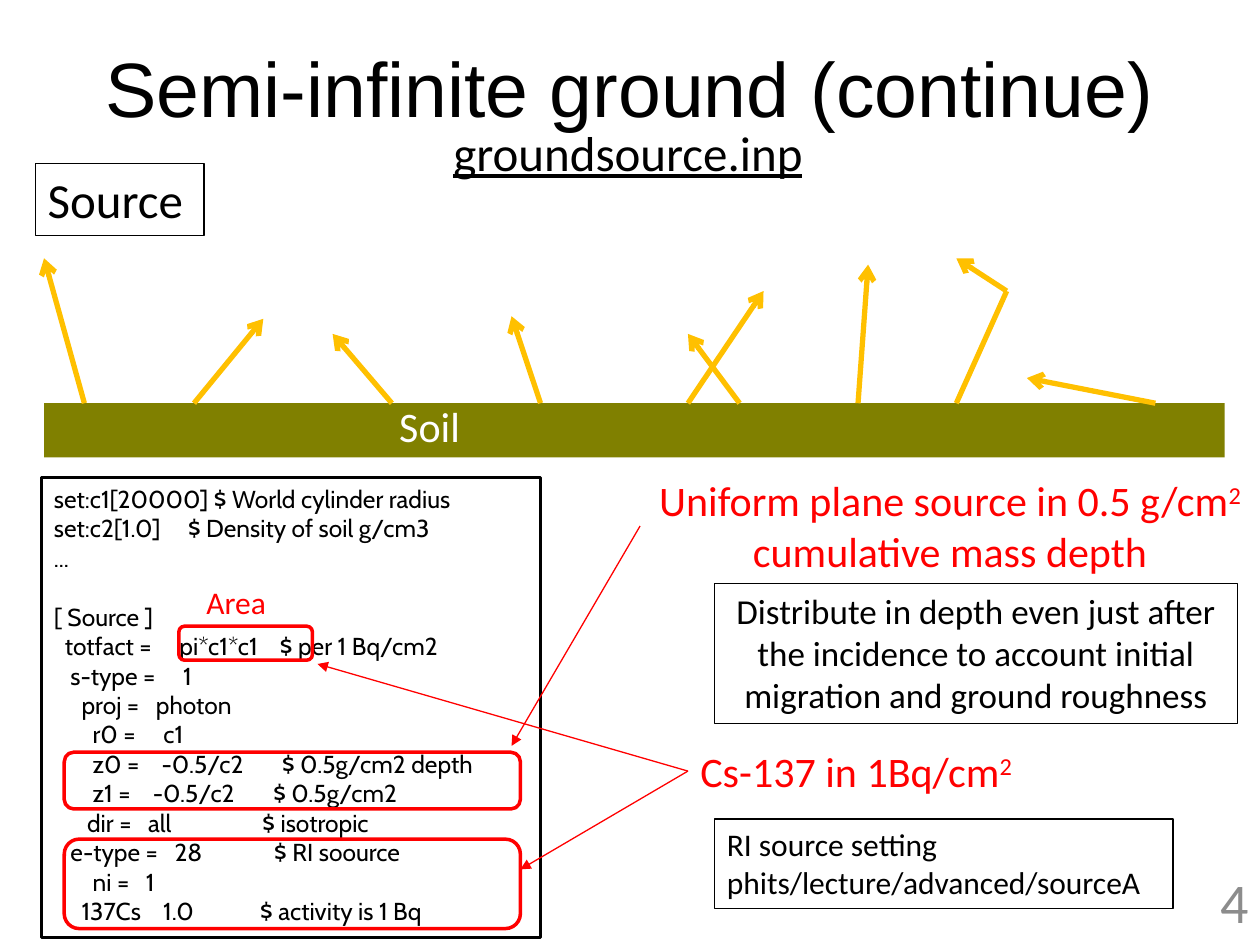
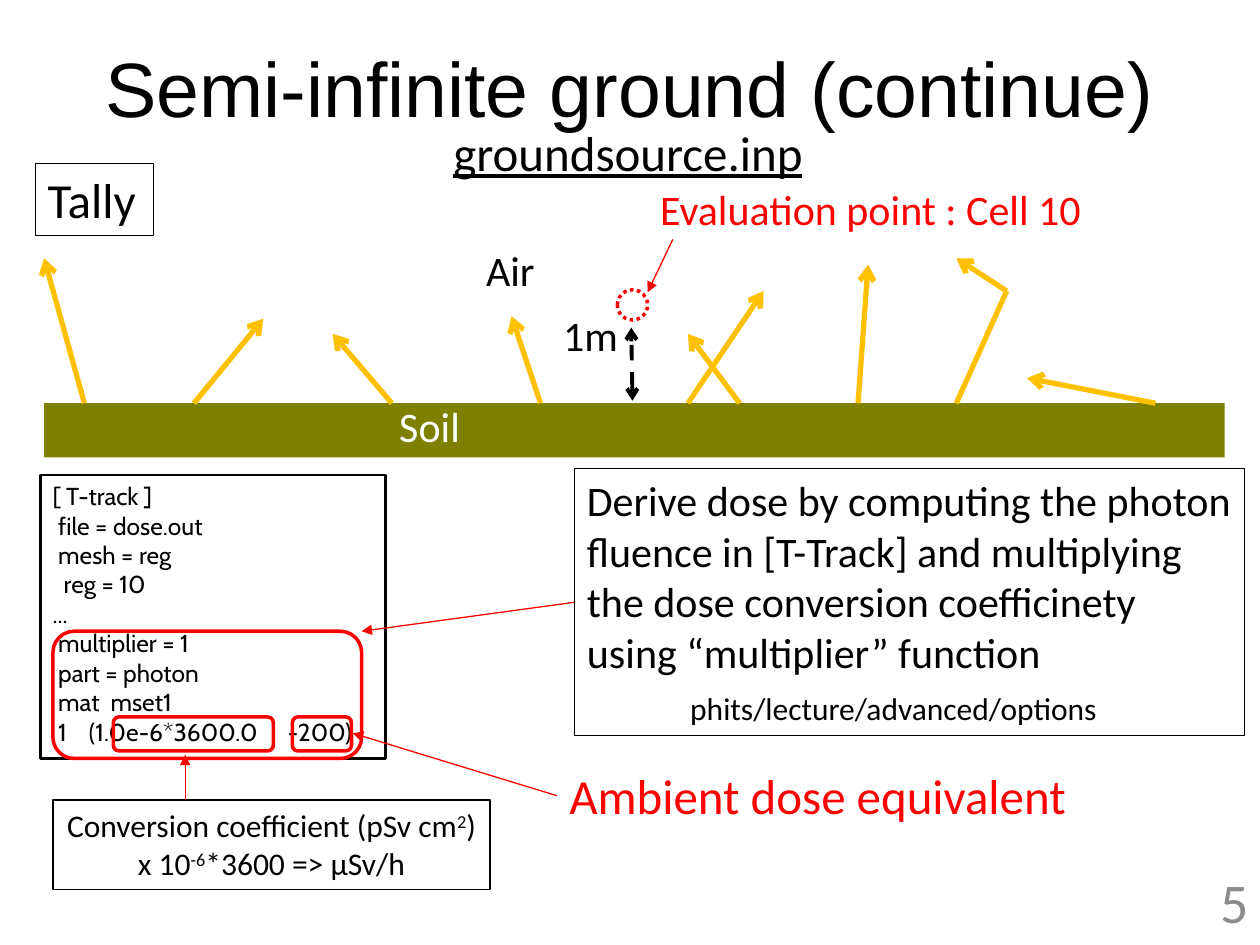
from lxml.etree import SubElement
from pptx import Presentation
from pptx.dml.color import RGBColor
from pptx.enum.dml import MSO_LINE
from pptx.enum.shapes import MSO_CONNECTOR, MSO_SHAPE
from pptx.enum.text import MSO_ANCHOR, MSO_AUTO_SIZE, PP_ALIGN
from pptx.oxml.ns import qn
from pptx.util import Inches, Pt

BLACK, WHITE, RED, GREY = "000000", "FFFFFF", "FF0000", "8C8C8C"
RAY, SOIL = "FFC000", "808000"
LEFT_SIDE = 1
GROUND = 3.2

# Photon tracks leaving the ground, each a list of points
TRACKS = [
    [(7.59, GROUND), (7.99, 2.31), (7.59, 2.05)],
    [(5.87, GROUND), (5.46, 2.65)],
    [(4.29, GROUND), (4.06, 2.51)],
    [(5.46, GROUND), (6.06, 2.31)],
    [(1.54, GROUND), (2.09, 2.53)],
    [(0.67, GROUND), (0.35, 2.05)],
    [(9.17, GROUND), (8.15, 3)],
    [(3.11, GROUND), (2.64, 2.65)],
    [(6.81, GROUND), (6.89, 2.1)],
]

SOURCE_CODE = [
    "set:c1[20000] $ World cylinder radius",
    "set:c2[1.0]     $ Density of soil g/cm3",
    "...",
    "[ Source ]",
    "  totfact =     pi*c1*c1    $ per 1 Bq/cm2",
    "   s-type =     1",
    "     proj =   photon",
    "       r0 =     c1",
    "       z0 =    -0.5/c2       $ 0.5g/cm2 depth",
    "       z1 =    -0.5/c2       $ 0.5g/cm2",
    "      dir =   all         　   $ isotropic",
    "   e-type =   28             $ RI soource",
    "       ni =   1",
    "     137Cs    1.0            $ activity is 1 Bq",
]

TALLY_CODE = [
    "[ T-track ]",
    " file = dose.out",
    " mesh = reg",
    "  reg = 10",
    "...",
    " multiplier = 1",
    " part = photon",
    " mat  mset1",
    " 1    (1.0e-6*3600.0　 -200)",
]


def rgb(color):
    return RGBColor.from_string(color)


class Deck:
    def __init__(self):
        self.prs = Presentation()
        self.prs.slide_width, self.prs.slide_height = Inches(10), Inches(7.5)
        self.s = None

    def slide(self, title, number):
        self.s = self.prs.slides.add_slide(self.prs.slide_layouts[5])
        sp = self.s.shapes.title
        sp.left, sp.top, sp.width, sp.height = map(Inches, (0.5, 0.06, 9, 1.25))
        self.fill_text(sp, [title], 44, BLACK, PP_ALIGN.CENTER, "Arial", MSO_ANCHOR.MIDDLE)
        self.text((7.68, 6.95, 2.33, 0.4), [number], 32, GREY, PP_ALIGN.RIGHT,
                  anchor=MSO_ANCHOR.MIDDLE)

    def fill_text(self, sp, lines, size, color=BLACK, align=PP_ALIGN.LEFT,
                  font="Calibri", anchor=MSO_ANCHOR.TOP):
        """Fill a shape with paragraphs; ^marks^ enclose superscripts."""
        tf = sp.text_frame
        tf.word_wrap, tf.auto_size, tf.vertical_anchor = True, MSO_AUTO_SIZE.NONE, anchor
        for i, line in enumerate(lines):
            p = tf.add_paragraph() if i else tf.paragraphs[0]
            p.alignment = align
            for j, part in enumerate(line.split("^")):
                r = p.add_run()
                r.text = part
                r.font.size, r.font.name = Pt(size), font
                r.font.color.rgb = rgb(color)
                if j % 2:
                    r.font._element.set("baseline", "30000")
        return sp

    def text(self, at, lines, size, color=BLACK, align=PP_ALIGN.LEFT, **style):
        sp = self.s.shapes.add_textbox(*map(Inches, at))
        return self.fill_text(sp, lines, size, color, align, **style)

    def shape(self, at, kind=MSO_SHAPE.RECTANGLE, fill=None, line=None, width=0.75):
        sp = self.s.shapes.add_shape(kind, *map(Inches, at))
        sp.shadow.inherit = False
        if fill:
            sp.fill.solid()
            sp.fill.fore_color.rgb = rgb(fill)
        else:
            sp.fill.background()
        if line:
            sp.line.color.rgb, sp.line.width = rgb(line), Pt(width)
        else:
            sp.line.fill.background()
        return sp

    def framed(self, at, lines, size, align=PP_ALIGN.LEFT):
        return self.fill_text(self.shape(at, line=BLACK), lines, size, align=align)

    def code(self, at, lines):
        sp = self.shape(at, fill=WHITE, line=BLACK, width=1.5)
        return self.fill_text(sp, lines, 14, font="Cabin")

    def mark(self, at):
        self.shape(at, MSO_SHAPE.ROUNDED_RECTANGLE, line=RED, width=2)

    def line(self, start, end, color, width, head=None, tail=None, dash=None):
        c = self.s.shapes.add_connector(MSO_CONNECTOR.STRAIGHT, *map(Inches, start + end))
        c.line.color.rgb, c.line.width = rgb(color), Pt(width)
        if dash:
            c.line.dash_style = dash
        spPr = c._element.spPr
        for tag, kind in (("a:headEnd", head), ("a:tailEnd", tail)):
            if kind:
                SubElement(spPr.find(qn("a:ln")), qn(tag), type=kind)
        SubElement(spPr, qn("a:effectLst"))
        return c

    def pointer(self, start, end, source=None):
        c = self.line(start, end, RED, 0.75, tail="triangle")
        if source is not None:
            c.begin_connect(source, LEFT_SIDE)

    def scene(self, topic, topic_width):
        """Heading, soil band and photon tracks common to both slides."""
        self.shape((0.35, GROUND, 9.37, 0.43), fill=SOIL)
        for track in TRACKS:
            for start, end in zip(track, track[1:]):
                self.line(start, end, RAY, 3, tail="arrow" if end == track[-1] else None)
        self.text((3.07, 3.13, 0.71, 0.5), ["Soil"], 24, WHITE)
        self.framed((0.28, 1.3, topic_width, 0.57), [topic], 28)
        sp = self.text((3.5, 0.92, 3.07, 0.57), ["groundsource.inp"], 28)
        sp.text_frame.paragraphs[0].runs[0].font.underline = True


def source_slide(deck):
    deck.slide("Semi-infinite ground (continue)", "4")
    deck.scene("Source", 1.34)

    # Input listing, with a gap before the section
    listing = deck.code((0.33, 3.79, 3.96, 3.65), SOURCE_CODE)
    section = SOURCE_CODE.index("[ Source ]")
    listing.text_frame.paragraphs[section].space_before = Pt(17)

    # Explanations
    plane = deck.text((5.08, 3.72, 4.92, 0.91),
                      ["Uniform plane source in 0.5 g/cm^2^ cumulative mass depth"],
                      24, RED, PP_ALIGN.CENTER)
    activity = deck.text((5.46, 5.87, 2.89, 0.5), ["Cs-137 in 1Bq/cm^2"], 24, RED)
    deck.framed((5.67, 4.63, 4.15, 1.11),
                ["Distribute in depth even just after the incidence to account "
                 "initial migration and ground roughness"], 20, PP_ALIGN.CENTER)
    deck.framed((5.67, 6.5, 3.64, 0.71),
                ["RI source setting", "phits/lecture/advanced/sourceA"], 18)

    # Highlights and pointers
    for at in ((0.51, 6.66, 3.62, 0.71), (0.51, 5.97, 3.62, 0.45), (1.42, 4.97, 1.06, 0.27)):
        deck.mark(at)
    deck.pointer((5.46, 6.12), (4.13, 6.9), activity)
    deck.pointer((5.46, 6.12), (2.52, 5.27), activity)
    deck.pointer((5.08, 4.17), (4.06, 5.92), plane)
    deck.text((1.54, 4.58, 0.71, 0.4), ["Area"], 18, RED)


def tally_slide(deck):
    deck.slide("Semi-infinite ground (continue)", "5")
    deck.scene("Tally", 0.94)

    # Evaluation point one metre above the ground
    point = deck.shape((4.9, 2.3, 0.24, 0.24), MSO_SHAPE.OVAL, line=RED, width=2)
    point.line.dash_style = MSO_LINE.ROUND_DOT
    deck.line((5.02, 3.18), (5.01, 2.6), BLACK, 2.25, "arrow", "arrow", MSO_LINE.DASH)
    deck.text((4.37, 2.41, 0.75, 0.5), ["1m"], 24)
    deck.text((3.76, 1.89, 0.63, 0.5), ["Air"], 24)
    deck.text((5.14, 1.41, 4.44, 0.5), ["Evaluation point : Cell 10"], 24, RED)
    deck.pointer((5.34, 1.9), (5.14, 2.32))

    # Explanations
    dose = deck.text((4.42, 6.03, 4.28, 0.57), ["Ambient dose equivalent"], 28, RED)
    method = deck.framed((4.56, 3.72, 5.32, 2.12),
                         ["Derive dose by computing the photon fluence in [T-Track] and "
                          "multiplying the dose conversion coefficinety using "
                          "“multiplier” function"], 24)
    deck.text((5.38, 5.42, 3.64, 0.4), ["phits/lecture/advanced/options"], 18)

    # Input listing, highlights and pointers
    deck.code((0.32, 3.77, 2.74, 2.25), TALLY_CODE)
    for at in ((2.32, 5.69, 0.47, 0.27), (0.42, 5.01, 2.45, 1.01), (0.9, 5.69, 1.27, 0.27)):
        deck.mark(at)
    deck.pointer((4.56, 4.78), (2.87, 5.01), method)
    deck.pointer((4.42, 6.32), (2.8, 5.82), dose)
    deck.framed((0.42, 6.35, 3.47, 0.71),
                ["Conversion coefficient (pSv cm^2^)", "x 10^-6^*3600 => μSv/h"],
                18, PP_ALIGN.CENTER)
    deck.pointer((1.47, 6.35), (1.47, 5.99))


def main():
    deck = Deck()
    source_slide(deck)
    tally_slide(deck)
    deck.prs.save("out.pptx")


if __name__ == "__main__":
    main()
